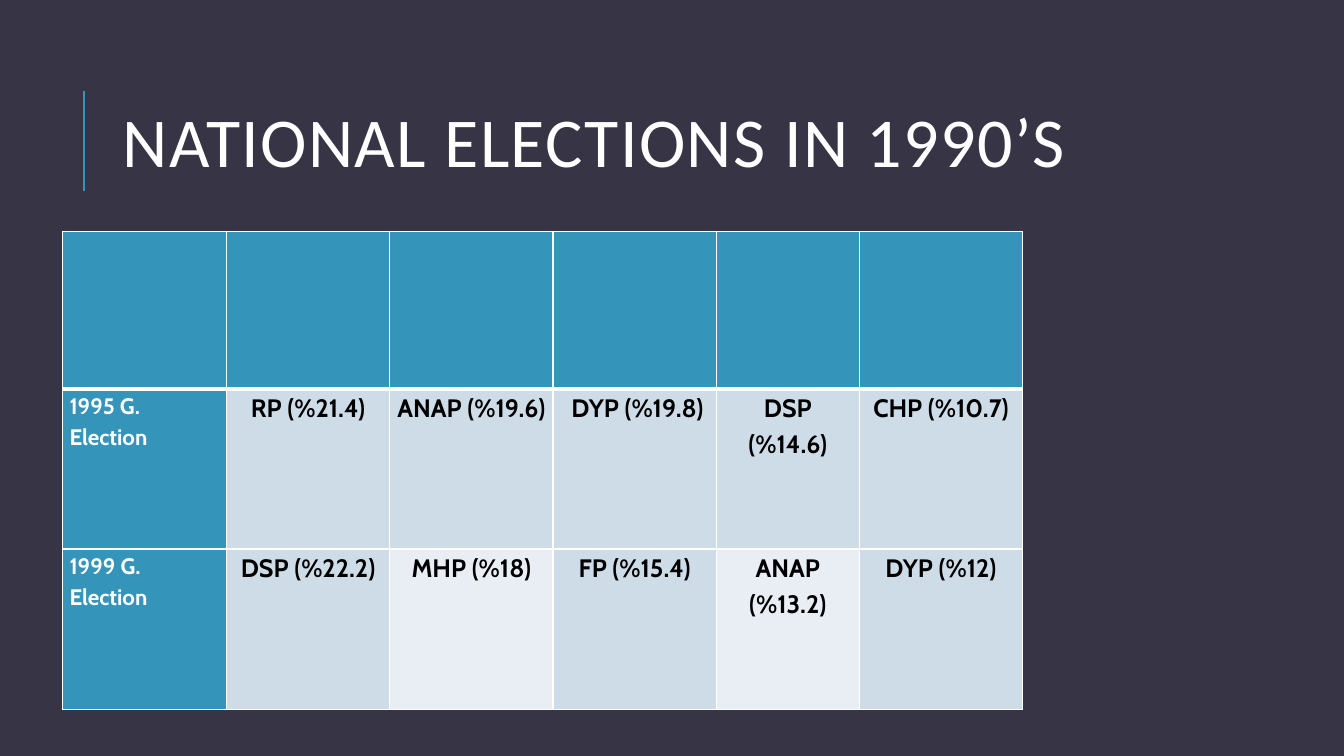
import pptx
import pptx.dml.color
import pptx.enum.shapes
import pptx.enum.text
import pptx.oxml.ns
import pptx.util
from lxml import etree

RGBColor = pptx.dml.color.RGBColor
Align = pptx.enum.text.PP_ALIGN
Anchor = pptx.enum.text.MSO_ANCHOR
qn = pptx.oxml.ns.qn

NIGHT = RGBColor(0x37, 0x35, 0x45)
TEAL = RGBColor(0x34, 0x94, 0xBA)
MIST = RGBColor(0xCE, 0xDC, 0xE7)
PALE = RGBColor(0xE8, 0xEE, 0xF3)
WHITE = RGBColor(0xFF, 0xFF, 0xFF)
BLACK = RGBColor(0x00, 0x00, 0x00)

ELECTIONS = [
    ["", "", "", "", "", ""],
    ["1995 G. Election", "RP (%21.4)", "ANAP (%19.6)", " DYP (%19.8)", "DSP (%14.6)", "CHP (%10.7)"],
    ["1999 G. Election", "DSP (%22.2)", "MHP (%18)", "FP (%15.4)", "ANAP (%13.2)", "DYP (%12)"],
]
COLUMN_SHARES = [12.2, 12.15, 12.15, 12.15, 10.65, 12.15]
ROW_SHARES = [20.75, 21.2, 21.2]


def apply(target, values):
    for name, value in values.items():
        setattr(target, name, value)


class ElectionSlide:
    title_font = {"name": "Calibri", "size": pptx.util.Pt(50), "bold": False}
    year_font = {"name": "Cabin", "size": pptx.util.Pt(16), "bold": True}
    party_font = {"name": "Cabin", "size": pptx.util.Pt(18), "bold": True}
    cell_paragraph = {"line_spacing": 1.15, "space_after": pptx.util.Pt(10)}
    cell_margins = {
        "margin_left": pptx.util.Inches(0.07), "margin_right": pptx.util.Inches(0.07),
        "margin_top": 0, "margin_bottom": 0,
    }

    def __init__(self, presentation):
        self.width = presentation.slide_width
        self.height = presentation.slide_height
        self.slide = presentation.slides.add_slide(presentation.slide_layouts[5])
        fill = self.slide.background.fill
        fill.solid()
        fill.fore_color.rgb = NIGHT

    def across(self, percent):
        return round(self.width * percent / 100)

    def down(self, percent):
        return round(self.height * percent / 100)

    def add_text(self, paragraph, text, font, color, layout):
        apply(paragraph, layout)
        run = paragraph.add_run()
        run.text = text
        apply(run.font, font)
        run.font.color.rgb = color
        return run

    def title(self, text, left, top, width, height):
        shape = self.slide.shapes.title
        apply(shape, {"left": self.across(left), "top": self.down(top),
                      "width": self.across(width), "height": self.down(height)})
        apply(shape.text_frame, {"vertical_anchor": Anchor.MIDDLE, "word_wrap": True,
                                 "auto_size": pptx.enum.text.MSO_AUTO_SIZE.NONE})
        run = self.add_text(shape.text_frame.paragraphs[0], text, self.title_font, WHITE,
                            {"alignment": Align.LEFT, "line_spacing": 0.8})
        run.font._element.set("spc", "100")

    def rule(self, left, top, bottom):
        connector = self.slide.shapes.add_connector(
            pptx.enum.shapes.MSO_CONNECTOR.STRAIGHT,
            self.across(left), self.down(bottom), self.across(left), self.down(top))
        connector.line.color.rgb = TEAL
        connector.line.width = pptx.util.Pt(1.5)
        etree.SubElement(connector._element.spPr, qn("a:effectLst"))

    def borders(self, cell, widths):
        properties = cell._tc.get_or_add_tcPr()
        for side, points in widths.items():
            line = etree.SubElement(properties, qn("a:ln" + side), w=str(pptx.util.Pt(points)))
            fill = etree.SubElement(line, qn("a:solidFill"))
            etree.SubElement(fill, qn("a:srgbClr"), val=str(WHITE))

    def cell(self, cell, text, row, column):
        self.borders(cell, {"L": 1, "R": 1, "T": 3 if row == 1 else 1, "B": 3 if row == 0 else 1})
        heading = row == 0 or column == 0
        pale = row == 2 and column in (2, 4)
        cell.fill.solid()
        cell.fill.fore_color.rgb = TEAL if heading else PALE if pale else MIST
        if text:
            apply(cell, self.cell_margins)
            self.add_text(cell.text_frame.paragraphs[0], text,
                          self.year_font if heading else self.party_font,
                          WHITE if heading else BLACK,
                          {**self.cell_paragraph, "alignment": Align.LEFT if heading else Align.CENTER})

    def table(self, rows, left, top, column_shares, row_shares):
        table = self.slide.shapes.add_table(
            len(rows), len(column_shares), self.across(left), self.down(top),
            self.across(sum(column_shares)), self.down(sum(row_shares))).table
        for column, share in zip(table.columns, column_shares):
            column.width = self.across(share)
        for row, share in zip(table.rows, row_shares):
            row.height = self.down(share)
        for row, texts in enumerate(rows):
            for column, text in enumerate(texts):
                self.cell(table.cell(row, column), text, row, column)


def main():
    presentation = pptx.Presentation()
    presentation.slide_width = pptx.util.Inches(13.33)
    presentation.slide_height = pptx.util.Inches(7.5)
    slide = ElectionSlide(presentation)
    slide.rule(6.23, 12, 25.33)
    slide.title("NATIONAL ELECTIONS IN 1990’S", 8.4, 8.53, 79.75, 21.87)
    slide.table(ELECTIONS, 4.65, 30.67, COLUMN_SHARES, ROW_SHARES)
    presentation.save("out.pptx")


if __name__ == "__main__":
    main()
